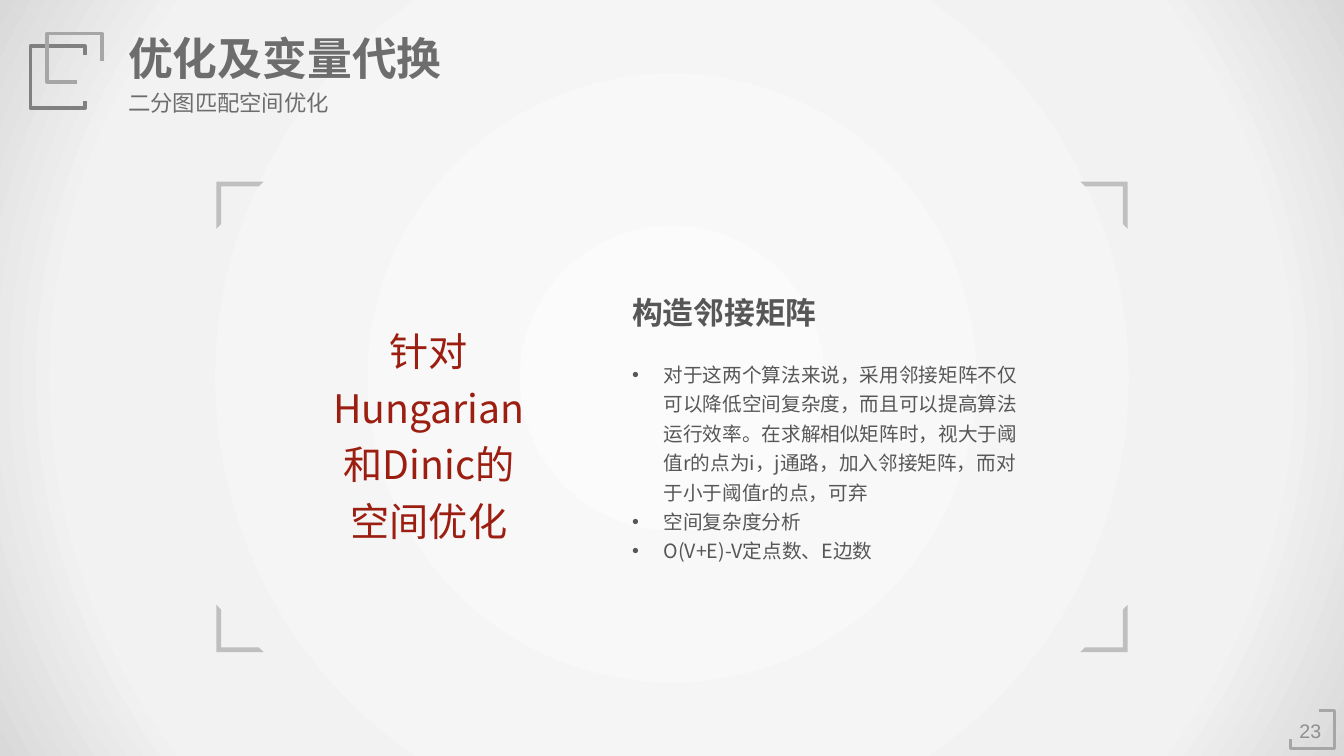
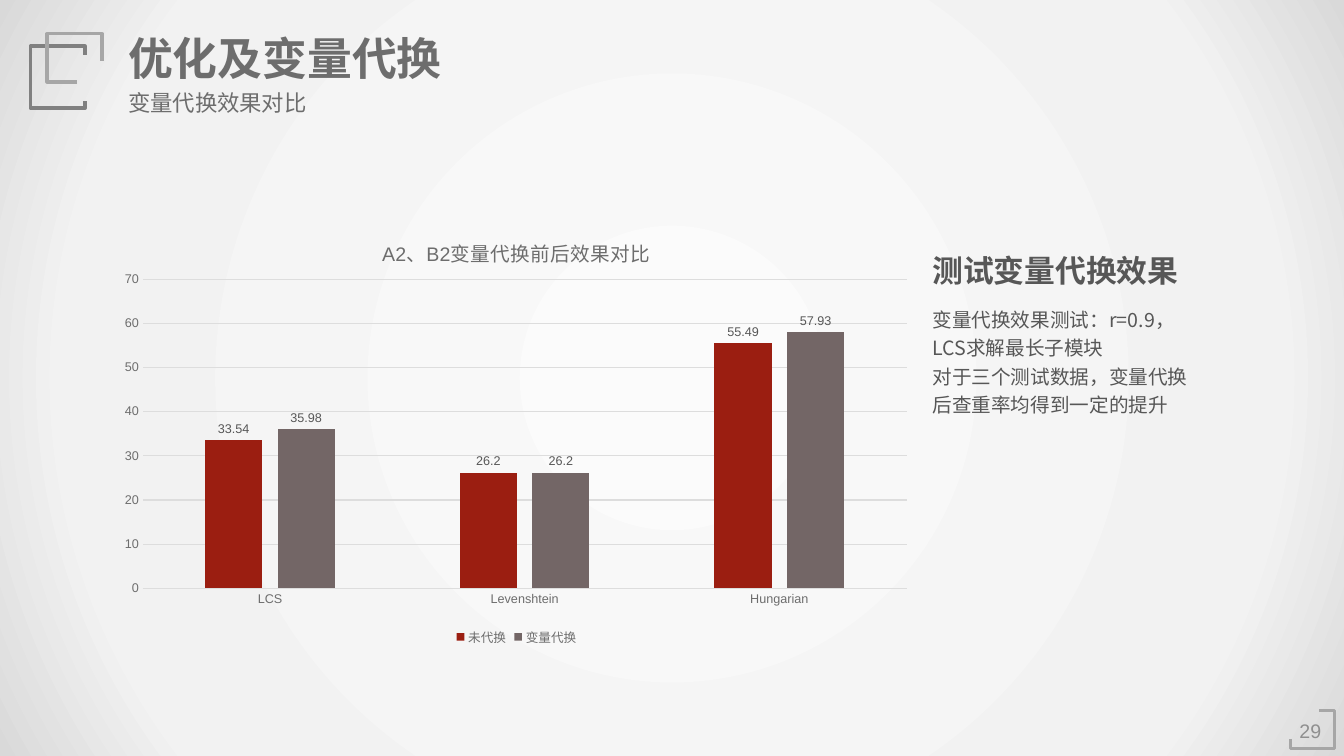
from lxml import etree
from pptx import Presentation
from pptx.chart.data import CategoryChartData
from pptx.dml.color import RGBColor
from pptx.enum.chart import XL_CHART_TYPE, XL_LABEL_POSITION, XL_LEGEND_POSITION, XL_TICK_MARK
from pptx.enum.shapes import MSO_SHAPE
from pptx.enum.text import MSO_ANCHOR, MSO_AUTO_SIZE, PP_ALIGN
from pptx.oxml import parse_xml
from pptx.oxml.ns import nsdecls, qn
from pptx.util import Emu, Pt

PX = 9525  # EMU in one px, 96 px to the inch
SLIDE_W, SLIDE_H = 1280, 720

RECT, HALF_FRAME = MSO_SHAPE.RECTANGLE, MSO_SHAPE.HALF_FRAME
TOP, MIDDLE = MSO_ANCHOR.TOP, MSO_ANCHOR.MIDDLE
LEFT, CENTER = PP_ALIGN.LEFT, PP_ALIGN.CENTER
FIT_TEXT = MSO_AUTO_SIZE.SHAPE_TO_FIT_TEXT
COLUMNS = XL_CHART_TYPE.COLUMN_CLUSTERED
OUTSIDE_END = XL_LABEL_POSITION.OUTSIDE_END
LEGEND_BOTTOM = XL_LEGEND_POSITION.BOTTOM
NO_TICK = XL_TICK_MARK.NONE

SANS, CJK, DISPLAY = "Arial", "Noto Sans CJK SC", "Quicksand"
RED, TAUPE = "9B1E11", "736666"
TITLE_GREY, BODY_GREY, NUMBER_GREY = "6D6D6D", "575757", "8F8F8F"
DARK_LINE, MID_LINE, FRAME_GREY, GRID_GREY = "808080", "A6A6A6", "BFBFBF", "DDDDDD"
GLOW = [(0, "FBFBFB"), (79, "F2F2F2"), (100, "D9D9D9")]

WIDE_INSET, SLIM_INSET = (10, 5), (7, 4)

# Open outlines of the corner mark and the page-number mark
MARKS = [
    (DARK_LINE, 2.5, [(81, 52), (81, 44), (29, 44), (29, 103), (81, 103), (81, 96)]),
    (MID_LINE, 2.5, [(97, 58), (97, 32), (45, 32), (45, 78), (73, 78)]),
    (MID_LINE, 2, [(1229, 704), (1229, 713), (1271, 713), (1271, 677), (1256, 677)]),
]


def px(*lengths):
    return [Emu(length * PX) for length in lengths]


def rgb(color):
    return RGBColor.from_string(color)


def style_font(font, size, color, name=SANS, bold=False):
    font.size, font.name, font.bold = Pt(size), name, bold
    font.color.rgb = rgb(color)


def add_bullet(paragraph, indent):
    props = paragraph._p.get_or_add_pPr()
    props.set("marL", str(indent * PX))
    props.set("indent", str(-indent * PX))
    etree.SubElement(props, qn("a:buFont")).set("typeface", SANS)
    etree.SubElement(props, qn("a:buChar")).set("char", "•")


def add_text(slide, box, lines, size, color, name=SANS, bold=False, align=LEFT,
             anchor=TOP, inset=WIDE_INSET, spacing=None, bullet_indent=0, wrap=True):
    frame = slide.shapes.add_textbox(*px(*box)).text_frame
    frame.word_wrap, frame.auto_size, frame.vertical_anchor = wrap, FIT_TEXT, anchor
    frame.margin_left, frame.margin_top = px(*inset)
    frame.margin_right, frame.margin_bottom = px(*inset)
    for index, line in enumerate(lines):
        paragraph = frame.paragraphs[0] if index == 0 else frame.add_paragraph()
        paragraph.text, paragraph.alignment = line, align
        if spacing:
            paragraph.line_spacing = spacing
        if bullet_indent:
            add_bullet(paragraph, bullet_indent)
        style_font(paragraph.font, size, color, name, bold)


def add_backdrop(slide):
    backdrop = slide.shapes.add_shape(RECT, *px(0, 0, SLIDE_W, SLIDE_H))
    backdrop.shadow.inherit = False
    backdrop.line.fill.background()
    stops = "".join(f'<a:gs pos="{pos * 1000}"><a:srgbClr val="{color}"/></a:gs>'
                    for pos, color in GLOW)
    backdrop._element.spPr.find(qn("a:prstGeom")).addnext(parse_xml(
        f'<a:gradFill {nsdecls("a")} rotWithShape="1"><a:gsLst>{stops}</a:gsLst>'
        '<a:path path="circle"><a:fillToRect l="50000" t="50000" r="50000" b="50000"/>'
        '</a:path></a:gradFill>'))


def add_outline(slide, color, weight, points):
    builder = slide.shapes.build_freeform(*points[0], scale=PX)
    builder.add_line_segments(points[1:], close=False)
    outline = builder.convert_to_shape()
    outline.shadow.inherit = False
    outline.fill.background()
    outline.line.color.rgb, outline.line.width = rgb(color), Pt(weight)


def add_corner_frame(slide, left, top, bottom, size):
    """Four mirrored brackets, centred across the slide."""
    group = slide.shapes.add_group_shape()
    for y, flip_v in ((top, "0"), (bottom - size, "1")):
        for x, flip_h in ((left, "0"), (SLIDE_W - left - size, "1")):
            corner = group.shapes.add_shape(HALF_FRAME, *px(x, y, size, size))
            corner.adjustments[0] = corner.adjustments[1] = 0.1
            corner.shadow.inherit = False
            corner.fill.solid()
            corner.fill.fore_color.rgb = rgb(FRAME_GREY)
            corner.line.fill.background()
            xfrm = corner._element.spPr.find(qn("a:xfrm"))
            xfrm.set("flipH", flip_h)
            xfrm.set("flipV", flip_v)


def add_base_slide(prs, subtitle, number):
    """Backdrop, marks, page number and the two title lines."""
    slide = prs.slides.add_slide(prs.slide_layouts[6])
    add_backdrop(slide)
    add_text(slide, (1227, 681, 42, 30), [number], 14, NUMBER_GREY,
             align=CENTER, anchor=MIDDLE, inset=SLIM_INSET)
    for mark in MARKS:
        add_outline(slide, *mark)
    add_text(slide, (112, 24, 321, 61), ["优化及变量代换"], 32, TITLE_GREY,
             bold=True, wrap=False)
    add_text(slide, (112, 80, 242, 36), [subtitle], 16, TITLE_GREY)
    return slide


def place_chart_part(part, **fractions):
    """Fix the place of a chart part, in fractions of the chart."""
    layout = part.find(qn("c:layout"))
    if layout is None:
        layout = etree.Element(qn("c:layout"))
        part.insert(0, layout)
    manual = etree.SubElement(layout, qn("c:manualLayout"))
    settings = {"xMode": "edge", "yMode": "edge", **fractions}
    if "w" in fractions:
        settings = {"layoutTarget": "inner", **settings}
    for tag, value in settings.items():
        etree.SubElement(manual, qn(f"c:{tag}")).set("val", str(value))


def add_column_chart(slide, box, title, categories, series):
    data = CategoryChartData()
    data.categories = categories
    for name, values, _ in series:
        data.add_series(name, values)
    chart = slide.shapes.add_chart(COLUMNS, *px(*box), data).chart
    style_font(chart.font, 9, TITLE_GREY)

    # Title and legend
    heading = chart.chart_title.text_frame
    heading.text = title
    style_font(heading.paragraphs[0].font, 14, TITLE_GREY)
    place_chart_part(chart.chart_title._element, x=0.33, y=0.05)
    chart.has_legend = True
    chart.legend.position, chart.legend.include_in_layout = LEGEND_BOTTOM, False
    style_font(chart.legend.font, 9, TITLE_GREY)

    # Axes
    value_axis, category_axis = chart.value_axis, chart.category_axis
    for axis in (value_axis, category_axis):
        axis.major_tick_mark = axis.minor_tick_mark = NO_TICK
        style_font(axis.tick_labels.font, 9, TITLE_GREY)
    value_axis.minimum_scale, value_axis.maximum_scale, value_axis.major_unit = 0, 70, 10
    value_axis.format.line.fill.background()
    for line in (value_axis.major_gridlines.format.line, category_axis.format.line):
        line.color.rgb, line.width = rgb(GRID_GREY), Pt(0.75)

    # Columns
    plot = chart.plots[0]
    plot.vary_by_categories, plot.gap_width, plot.overlap = False, 219, -27
    for columns, (_, _, color) in zip(plot.series, series):
        columns.format.fill.solid()
        columns.format.fill.fore_color.rgb = rgb(color)
        labels = columns.data_labels
        labels.show_value, labels.position = True, OUTSIDE_END
        style_font(labels.font, 9, BODY_GREY)
    place_chart_part(chart._chartSpace.chart.plotArea, x=0.04, y=0.155, w=0.94, h=0.705)


def add_matrix_slide(prs):
    slide = add_base_slide(prs, "二分图匹配空间优化", "23")
    add_corner_frame(slide, left=206, top=173, bottom=621, size=45)
    add_text(slide, (595, 276, 420, 43), ["构造邻接矩阵"], 22, BODY_GREY,
             bold=True, inset=SLIM_INSET)
    add_text(slide, (595, 336, 388, 203), [
        "对于这两个算法来说，采用邻接矩阵不仅可以降低空间复杂度，而且可以提高算法运行效率。"
        "在求解相似矩阵时，视大于阈值r的点为i，j通路，加入邻接矩阵，而对于小于阈值r的点，可弃",
        "空间复杂度分析",
        "O(V+E)-V定点数、E边数",
    ], 14, BODY_GREY, CJK, inset=SLIM_INSET, spacing=1.25, bullet_indent=30)
    add_text(slide, (305, 298, 207, 220), ["针对Hungarian和Dinic的空间优化"], 28, RED, CJK,
             align=CENTER, spacing=1.2)


def add_comparison_slide(prs):
    slide = add_base_slide(prs, "变量代换效果对比", "29")
    add_text(slide, (878, 235, 262, 45), ["测试变量代换效果"], 22, BODY_GREY, DISPLAY,
             bold=True, anchor=MIDDLE)
    add_text(slide, (878, 284, 281, 170), [
        "变量代换效果测试：r=0.9，LCS求解最长子模块",
        "对于三个测试数据，变量代换后查重率均得到一定的提升",
    ], 14, BODY_GREY, CJK, spacing=1.2)
    add_column_chart(slide, (105, 201, 774, 418), "A2、B2变量代换前后效果对比",
                     ["LCS", "Levenshtein", "Hungarian"],
                     [("未代换", (33.54, 26.2, 55.49), RED),
                      ("变量代换", (35.98, 26.2, 57.93), TAUPE)])


def main():
    prs = Presentation()
    prs.slide_width, prs.slide_height = px(SLIDE_W, SLIDE_H)
    add_matrix_slide(prs)
    add_comparison_slide(prs)
    prs.save("out.pptx")


if __name__ == "__main__":
    main()
